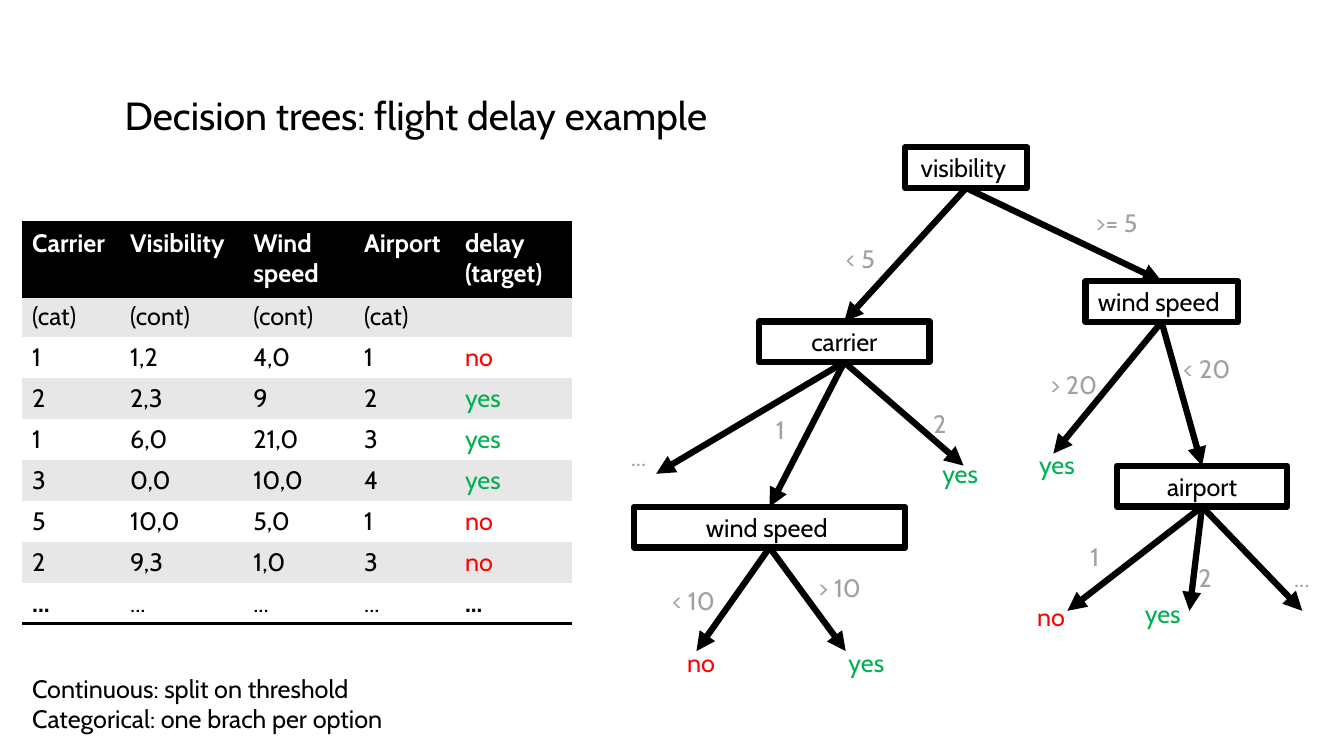
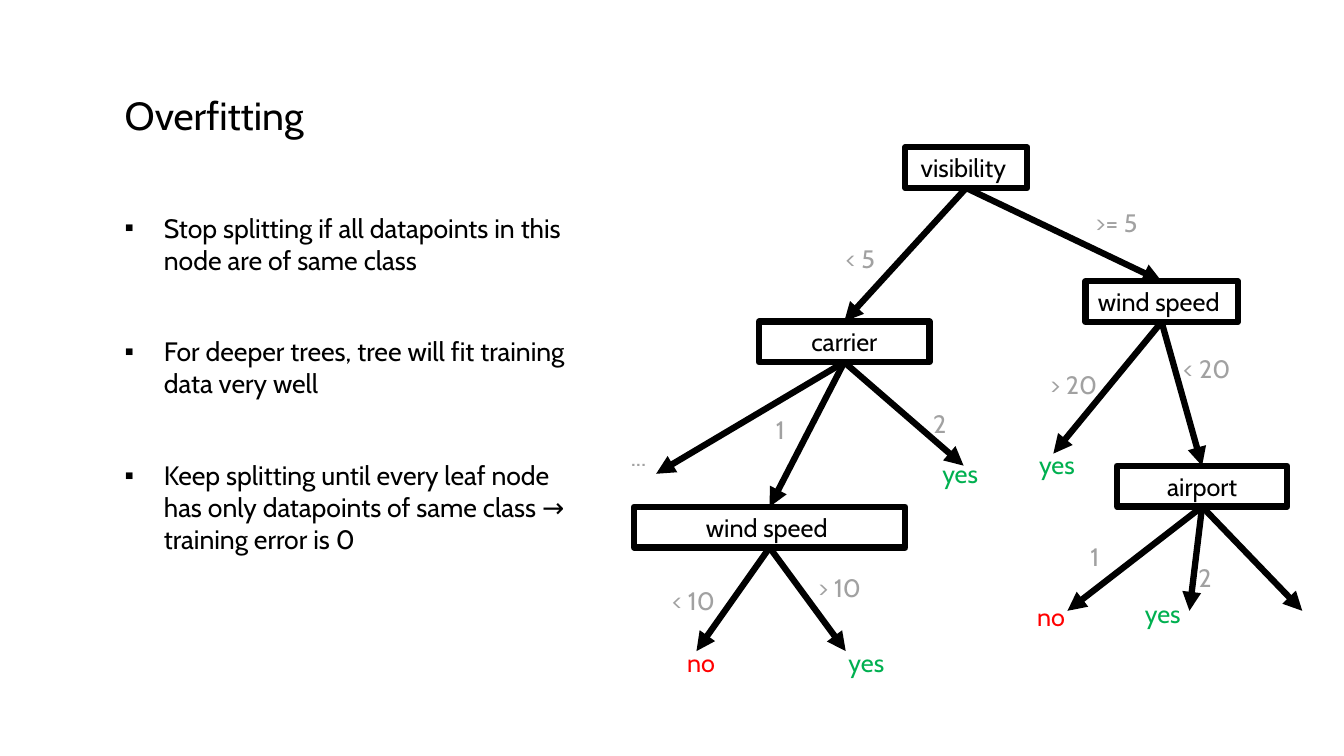
import pptx
import pptx.dml.color
import pptx.enum.shapes
import pptx.enum.text
import pptx.oxml
import pptx.oxml.ns
import pptx.util
from lxml import etree

Pt = pptx.util.Pt
qn = pptx.oxml.ns.qn
PP_ALIGN = pptx.enum.text.PP_ALIGN
MSO_ANCHOR = pptx.enum.text.MSO_ANCHOR

# Shared look
COLORS = {"black": "000000", "white": "FFFFFF", "band": "E7E7E7",
          "label": "A1A1A1", "yes": "00B050", "no": "FF0000"}
FONT = "Cabin"
TITLE_AREA = (82, 62.6, 793.4, 42.5)
BOX_HEIGHT = 29.1
LEAF_WIDTH = 52.6
LINE_WIDTH = 4.5
NO_STYLE_TABLE = "{2D5ABB26-0587-4C30-8999-92F81FD0307C}"

# Decision tree: name -> text, left, top, width
NODES = {
    "visibility": ("visibility ", 646.6, 105.2, 87.1),
    "wind right": ("wind speed ", 775.4, 200.9, 108.7),
    "carrier": ("carrier", 542.2, 229.6, 121.7),
    "wind left": ("wind speed ", 452.9, 362, 193.7),
    "airport": ("airport", 797.8, 332.8, 121.7),
}
# Each parent points to other nodes or to the place of a leaf
BRANCHES = {
    "visibility": ["wind right", "carrier"],
    "carrier": ["wind left", (688.3, 332.6), (468.7, 338.4)],
    "wind left": [(604.1, 465.1), (497.5, 465.1)],
    "wind right": ["airport", (752.4, 324)],
    "airport": [(930.2, 436.3), (762.5, 436.3), (849.6, 436.3)],
}
# Text, left, top, width
LABELS = [
    ("< 20", 838.1, 249.1, 67), ("> 10", 577.4, 405.4, 67),
    ("< 10", 473, 414.7, 67), ("1", 547.2, 292.3, 29.5),
    (">= 5", 775.4, 144.7, 67), ("2", 848.9, 398.2, 67),
    ("1", 771.8, 383, 67), ("< 5", 596.9, 169.9, 67),
    ("2", 659.5, 288, 29.5), ("> 20", 743, 259.9, 77.8),
    ("...", 443.5, 311.8, 49.7),
]
EXTRA_LABEL = ("...", 917.3, 398.2, 67)
LEAVES = [
    ("yes", 666, 324), ("yes", 735.1, 317.5), ("yes", 599, 458.6),
    ("yes", 810.7, 424.1), ("no", 733.7, 426.2), ("no", 483.8, 458.6),
]

# Slide texts
EXAMPLE_TITLE = "Decision trees: flight delay example"
FLIGHTS = [
    ("Carrier", "Visibility", "Wind speed", "Airport", "delay\n(target)"),
    ("(cat)", "(cont)", "(cont)", "(cat)", ""),
    ("1", "1,2", "4,0", "1", "no"),
    ("2", "2,3", "9", "2", "yes"),
    ("1", "6,0", "21,0", "3", "yes"),
    ("3", "0,0", "10,0", "4", "yes"),
    ("5", "10,0", "5,0", "1", "no"),
    ("2", "9,3", "1,0", "3", "no"),
    ("...", "...", "...", "...", "..."),
]
COLUMN_WIDTHS = [70, 88, 79.2, 72, 83.4]
HEADER_HEIGHT, ROW_HEIGHT = 52.8, 29.2
SPLIT_RULES = ["Continuous: split on threshold", "Categorical: one brach per option"]
OVERFITTING_TITLE = "Overfitting"
OVERFITTING_POINTS = [
    "Stop splitting if all datapoints in this node are of same class",
    "For deeper trees, tree will fit training data very well",
    "Keep splitting until every leaf node has only datapoints of same class → training error is 0",
]


def rgb(name):
    return pptx.dml.color.RGBColor.from_string(COLORS[name])


def write(frame, lines, color="black", size=18, bold=False, **paragraph_format):
    """Fill a text frame with one paragraph per line."""
    frame.text = "\n".join(lines)
    for paragraph in frame.paragraphs:
        for name, value in paragraph_format.items():
            setattr(paragraph, name, value)
        for name, value in {"name": FONT, "size": Pt(size), "bold": bold}.items():
            setattr(paragraph.font, name, value)
        paragraph.font.color.rgb = rgb(color)
        for run in paragraph.runs:
            run.font.name, run.font.size, run.font.bold = FONT, Pt(size), bold
            run.font.color.rgb = rgb(color)


def add_text(slide, area, lines, anchor=MSO_ANCHOR.TOP, **text_format):
    frame = slide.shapes.add_textbox(*map(Pt, area)).text_frame
    frame.word_wrap = True
    frame.vertical_anchor = anchor
    write(frame, lines, **text_format)
    return frame


def add_node(slide, text, left, top, width):
    shape = slide.shapes.add_shape(pptx.enum.shapes.MSO_SHAPE.RECTANGLE,
                                   *map(Pt, (left, top, width, BOX_HEIGHT)))
    shape.shadow.inherit = False
    shape.fill.background()
    shape.line.color.rgb = rgb("black")
    shape.line.width = Pt(LINE_WIDTH)
    shape.text_frame.word_wrap = True
    write(shape.text_frame, [text], alignment=PP_ALIGN.CENTER)
    return shape


def add_arrow(slide, parent, target):
    """Join the bottom of a node to another node's top or to a point."""
    is_point = isinstance(target, tuple)
    end = map(Pt, target) if is_point else (target.left, target.top)
    arrow = slide.shapes.add_connector(pptx.enum.shapes.MSO_CONNECTOR.STRAIGHT,
                                       parent.left, parent.top, *end)
    arrow.begin_connect(parent, 2)
    if not is_point:
        arrow.end_connect(target, 0)
    arrow.line.color.rgb = rgb("black")
    arrow.line.width = Pt(LINE_WIDTH)
    etree.SubElement(arrow.line._get_or_add_ln(), qn("a:tailEnd"), type="triangle")
    etree.SubElement(arrow.element.spPr, qn("a:effectLst"))


def add_tree(slide, labels):
    nodes = {name: add_node(slide, *node) for name, node in NODES.items()}
    for parent, targets in BRANCHES.items():
        for target in targets:
            add_arrow(slide, nodes[parent], nodes.get(target, target))
    for text, left, top, width in labels:
        add_text(slide, (left, top, width, BOX_HEIGHT), [text], color="label")
    for text, left, top in LEAVES:
        add_text(slide, (left, top, LEAF_WIDTH, BOX_HEIGHT), [text], color=text)


def add_borders(cell, sides):
    """Put 2 pt black lines on the given sides, ahead of the cell's fill."""
    properties = cell._tc.get_or_add_tcPr()
    for position, side in enumerate(sides):
        border = pptx.oxml.parse_xml(
            f'<a:{side} {pptx.oxml.ns.nsdecls("a")} w="{Pt(2)}"><a:solidFill>'
            f'<a:srgbClr val="{COLORS["black"]}"/></a:solidFill></a:{side}>')
        properties.insert(position, border)


def add_flight_table(slide):
    last_row, last_column = len(FLIGHTS) - 1, len(COLUMN_WIDTHS) - 1
    height = HEADER_HEIGHT + last_row * ROW_HEIGHT
    frame = slide.shapes.add_table(len(FLIGHTS), len(COLUMN_WIDTHS), Pt(15.8), Pt(159),
                                   Pt(sum(COLUMN_WIDTHS)), Pt(height))
    next(frame.element.iter(qn("a:tableStyleId"))).text = NO_STYLE_TABLE
    table = frame.table
    for column, width in zip(table.columns, COLUMN_WIDTHS):
        column.width = Pt(width)
    for row, values in enumerate(FLIGHTS):
        table.rows[row].height = Pt(ROW_HEIGHT if row else HEADER_HEIGHT)
        fill = "black" if row == 0 else "band" if row % 2 else "white"
        for column, value in enumerate(values):
            cell = table.cell(row, column)
            cell.fill.solid()
            cell.fill.fore_color.rgb = rgb(fill)
            color = "white" if row == 0 else value if value in ("yes", "no") else "black"
            bold = row == 0 or (row == last_row and column in (0, last_column))
            write(cell.text_frame, value.split("\n"), color=color, bold=bold)
            add_borders(cell, {0: ["lnT", "lnB"], last_row: ["lnB"]}.get(row, []))


def add_bullets(slide, points):
    frame = add_text(slide, (82, 147.6, 329, 283.7), points, size=19)
    for position, paragraph in enumerate(frame.paragraphs):
        paragraph.space_before = Pt(42.8 if position else 0)
        properties = paragraph._p.get_or_add_pPr()
        properties.set("marL", str(Pt(28)))
        properties.set("indent", str(-Pt(28)))
        etree.SubElement(properties, qn("a:buFont"), typeface="Arial")
        etree.SubElement(properties, qn("a:buChar"), char="▪")
        # Bullet settings come before the default run properties
        default_run = properties.find(qn("a:defRPr"))
        if default_run is not None:
            properties.append(default_run)


def add_slide(presentation, title):
    slide = presentation.slides.add_slide(presentation.slide_layouts[6])
    add_text(slide, TITLE_AREA, [title], anchor=MSO_ANCHOR.MIDDLE, size=28, line_spacing=0.9)
    return slide


def main():
    presentation = pptx.Presentation()
    presentation.slide_width, presentation.slide_height = Pt(960), Pt(540)

    # Flight delay example
    slide = add_slide(presentation, EXAMPLE_TITLE)
    add_flight_table(slide)
    add_tree(slide, LABELS + [EXTRA_LABEL])
    add_text(slide, (15.8, 477.4, 354.2, 51.1), SPLIT_RULES)

    # Overfitting
    slide = add_slide(presentation, OVERFITTING_TITLE)
    add_bullets(slide, OVERFITTING_POINTS)
    add_tree(slide, LABELS)

    presentation.save("out.pptx")


if __name__ == "__main__":
    main()
